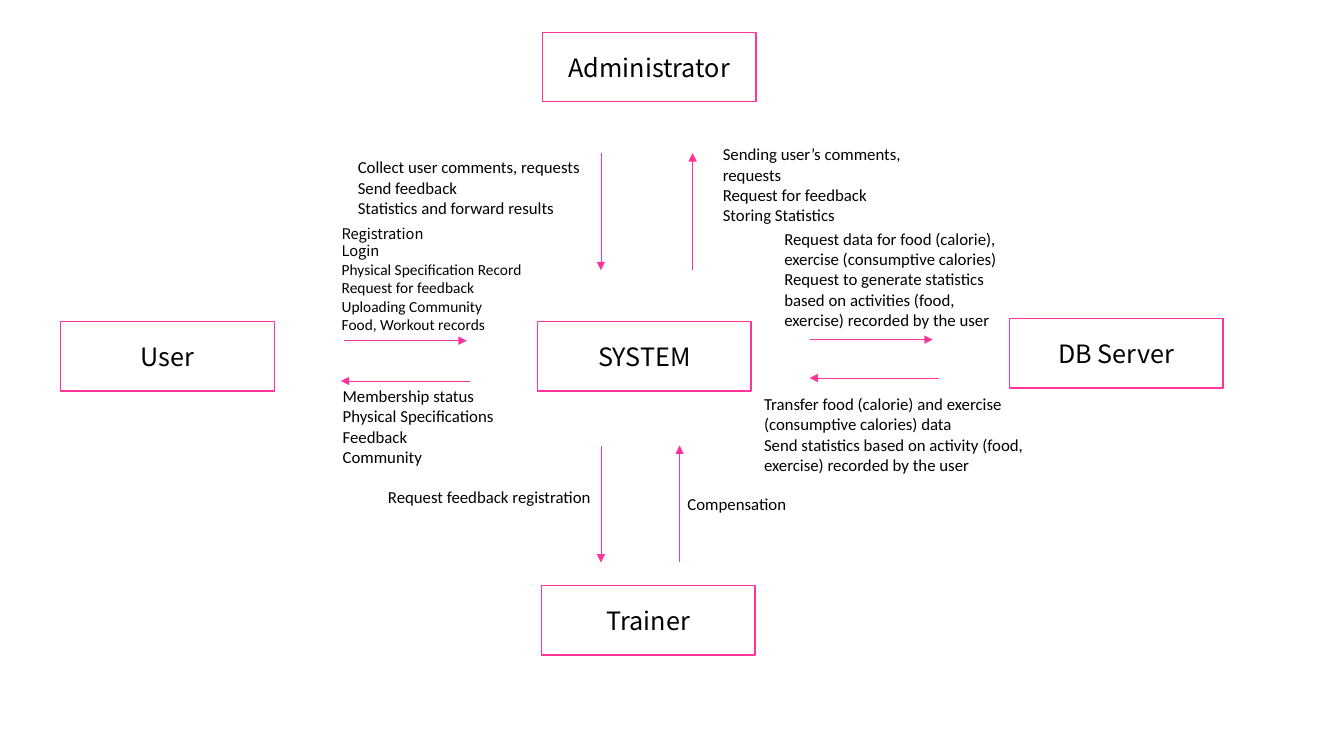
from pptx import Presentation
from pptx.dml.color import RGBColor
from pptx.enum.shapes import MSO_CONNECTOR, MSO_SHAPE
from pptx.enum.text import MSO_ANCHOR, MSO_AUTO_SIZE, PP_ALIGN
from pptx.oxml.ns import qn
from pptx.util import Inches, Pt
from lxml.etree import SubElement

PINK = RGBColor(0xFF, 0x33, 0x99)
BLACK = RGBColor(0, 0, 0)
HEAD = "Noto Sans CJK KR"
BODY = "Calibri"
WIDE, HIGH = 2.12, 0.69


class Chart:
    """Draws the boxes, arrows and notes of a context diagram on one slide."""

    def __init__(self, deck):
        self.slide = deck.slides.add_slide(deck.slide_layouts[6])
        self.shapes = self.slide.shapes

    def style(self, para, font, size):
        for run in para.runs:
            run.font.name = font
            run.font.size = Pt(size)
            run.font.color.rgb = BLACK

    def box(self, text, left, top):
        shape = self.shapes.add_shape(
            MSO_SHAPE.RECTANGLE, Inches(left), Inches(top), Inches(WIDE), Inches(HIGH))
        shape.shadow.inherit = False
        shape.fill.background()
        shape.line.color.rgb = PINK
        shape.line.width = Pt(1)
        frame = shape.text_frame
        frame.text = text
        frame.vertical_anchor = MSO_ANCHOR.MIDDLE
        para = frame.paragraphs[0]
        para.alignment = PP_ALIGN.CENTER
        self.style(para, HEAD, 18)

    def arrow(self, x1, y1, x2, y2):
        line = self.shapes.add_connector(
            MSO_CONNECTOR.STRAIGHT, Inches(x1), Inches(y1), Inches(x2), Inches(y2))
        line.line.color.rgb = PINK
        line.line.width = Pt(0.5)
        tip = SubElement(line.line._get_or_add_ln(), qn("a:tailEnd"))
        tip.set("type", "triangle")
        SubElement(line._element.spPr, qn("a:effectLst"))

    def note(self, lines, left, top, width, height, size=12):
        shape = self.shapes.add_textbox(
            Inches(left), Inches(top), Inches(width), Inches(height))
        frame = shape.text_frame
        frame.word_wrap = True
        frame.auto_size = MSO_AUTO_SIZE.SHAPE_TO_FIT_TEXT
        frame.text = "\n".join(lines)
        for para in frame.paragraphs:
            self.style(para, BODY, size)
        return frame


def main():
    deck = Presentation()
    deck.slide_width, deck.slide_height = Inches(13.33), Inches(7.5)
    chart = Chart(deck)

    for text, left, top in [
        ("Administrator", 5.38, 0.32),
        ("User", 0.6, 3.19),
        ("DB Server", 10.01, 3.16),
        ("SYSTEM", 5.33, 3.19),
        ("Trainer", 5.37, 5.81),
    ]:
        chart.box(text, left, top)

    for ends in [
        (5.96, 1.52, 5.96, 2.68),
        (5.96, 4.42, 5.96, 5.58),
        (3.41, 3.38, 4.63, 3.38),
        (8.03, 3.37, 9.25, 3.37),
        (4.66, 3.78, 3.38, 3.78),
        (9.31, 3.75, 8.03, 3.75),
        (6.87, 2.68, 6.87, 1.52),
        (6.74, 5.58, 6.74, 4.42),
    ]:
        chart.arrow(*ends)

    chart.note(["Membership status", "Physical Specifications", "Feedback",
                "Community"], 3.3, 3.78, 1.71, 0.91)
    entry = chart.note(["Registration", "Login", "Physical Specification Record",
                        "Request for feedback", "Uploading Community",
                        "Food, Workout records"], 3.29, 2.18, 2.01, 1.19, 11)
    for para in entry.paragraphs[:2]:
        chart.style(para, HEAD, 10.5)
        para.line_spacing = Pt(12.5)
    chart.note(["Sending user’s comments, requests", "Request for feedback",
                "Storing Statistics"], 7.07, 1.38, 2.35, 0.91)
    chart.note(["Collect user comments, requests", "Send feedback",
                "Statistics and forward results"], 3.45, 1.51, 2.42, 0.71)
    chart.note(["Transfer food (calorie) and exercise (consumptive calories) data",
                "Send statistics based on activity (food, exercise) recorded by the user"],
               7.48, 3.86, 2.77, 0.91)
    chart.note(["Request data for food (calorie), exercise (consumptive calories)",
                "Request to generate statistics based on activities "
                "(food, exercise) recorded by the user"], 7.68, 2.22, 2.35, 1.11)
    chart.note(["Request feedback registration"], 3.75, 4.78, 2.27, 0.3)
    chart.note(["Compensation"], 6.72, 4.85, 1.91, 0.3)

    deck.save("out.pptx")


if __name__ == "__main__":
    main()
